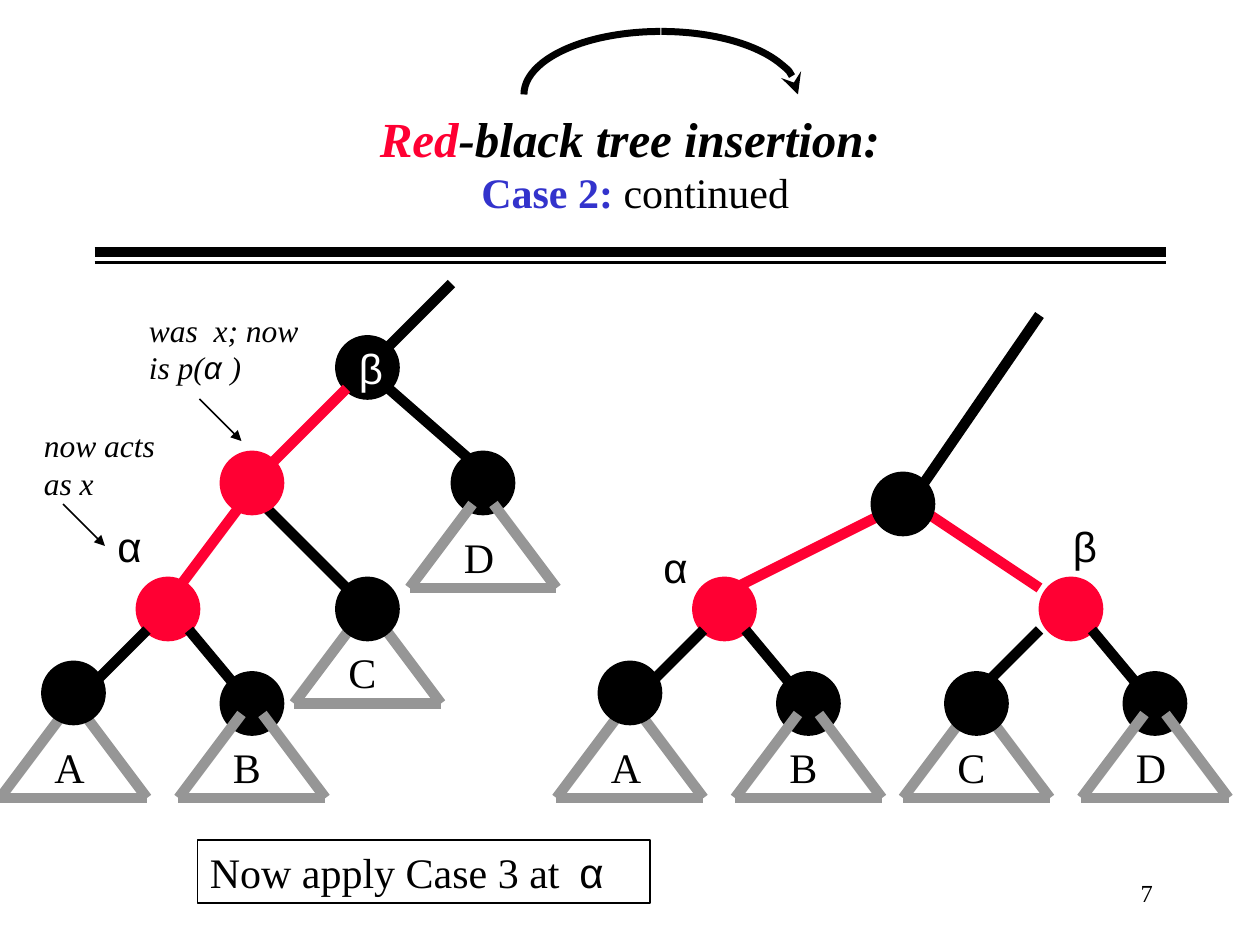
from lxml.etree import SubElement
from pptx import Presentation
from pptx.dml.color import RGBColor
from pptx.enum.shapes import MSO_CONNECTOR, MSO_SHAPE
from pptx.enum.text import MSO_ANCHOR, MSO_AUTO_SIZE, PP_ALIGN
from pptx.oxml.ns import qn
from pptx.util import Emu, Pt

PX = 7620  # 120 px to the inch
COLORS = {"black": "000000", "red": "FF0033", "blue": "3333CC",
          "gray": "969696", "white": "FFFFFF"}
SERIF, SANS = "Times New Roman", "Arial"


def px(*lengths):
    return [Emu(length * PX) for length in lengths]


def rgb(name):
    return RGBColor.from_string(COLORS[name])


class TreeSlide:
    base = {"name": SERIF, "size": Pt(24), "bold": False, "italic": False}

    def __init__(self, deck):
        self.slide = deck.slides.add_slide(deck.slide_layouts[6])

    def arrowhead(self, item, kind):
        SubElement(item.line._get_or_add_ln(), qn("a:tailEnd"), type=kind)

    def line(self, start, end, color="black", width=6, head=None):
        item = self.slide.shapes.add_connector(
            MSO_CONNECTOR.STRAIGHT, *px(*start, *end))
        item.line.color.rgb = rgb(color)
        item.line.width = Pt(width)
        SubElement(item._element.spPr, qn("a:effectLst"))
        if head:
            self.arrowhead(item, head)

    def shape(self, kind, bounds, fill=None, line="black", width=1):
        item = self.slide.shapes.add_shape(kind, *px(*bounds))
        item.shadow.inherit = False
        if fill:
            item.fill.solid()
            item.fill.fore_color.rgb = rgb(fill)
        else:
            item.fill.background()
        item.line.color.rgb = rgb(line)
        item.line.width = Pt(width)
        return item

    def arc(self, bounds, start, end, head=None):
        item = self.shape(MSO_SHAPE.ARC, bounds, width=4)
        # Angles are stored in 60000ths of a degree, adjustments in 100000ths
        item.adjustments[0] = start * 0.6
        item.adjustments[1] = end * 0.6
        if head:
            self.arrowhead(item, head)

    def fill_text(self, box, lines, align=PP_ALIGN.LEFT, anchor=MSO_ANCHOR.TOP):
        """Fill a box with lines, each a list of (text, color, format) spans."""
        frame = box.text_frame
        settings = {"word_wrap": True, "vertical_anchor": anchor,
                    "auto_size": MSO_AUTO_SIZE.NONE}
        for key, value in settings.items():
            setattr(frame, key, value)
        para = frame.paragraphs[0]
        para.alignment = align
        for index, spans in enumerate(lines):
            if index:
                para.add_line_break()
            for text, color, extra in spans:
                span = para.add_run()
                span.text = text
                for key, value in {**self.base, **extra}.items():
                    setattr(span.font, key, value)
                span.font.color.rgb = rgb(color)

    def text(self, bounds, lines, **layout):
        box = self.slide.shapes.add_textbox(*px(*bounds))
        self.fill_text(box, lines, **layout)

    def label(self, left, top, text, color="black", font=SANS, width=90):
        self.text((left, top, width, 60), [[(text, color, {"name": font})]])

    def node(self, center_x, center_y, color="black"):
        size = 60
        self.shape(MSO_SHAPE.OVAL,
                   (center_x - size // 2, center_y - size // 2, size, size),
                   fill=color, line=color)

    def subtree(self, center, top, name):
        base = top + 80
        for side in (-1, 1):
            self.line((center + 10 * side, top), (center + 70 * side, base), "gray")
        self.line((center - 70, base), (center + 70, base), "gray")
        self.label(center - 30, top + 20, name, font=SERIF, width=110)

    def tree(self, back_edges, back_subtrees, nodes, front_edges, front_subtrees):
        for method, items in ((self.line, back_edges),
                              (self.subtree, back_subtrees),
                              (self.node, nodes),
                              (self.line, front_edges),
                              (self.subtree, front_subtrees)):
            for item in items:
                method(*item)


def main():
    deck = Presentation()
    deck.slide_width, deck.slide_height = px(1200, 900)
    page = TreeSlide(deck)

    # Title, rules and rotation arrow
    page.line((90, 240), (1110, 240))
    page.line((90, 250), (1110, 250), width=2)
    heading = {"size": Pt(28), "bold": True, "italic": True}
    page.text((90, 80, 1020, 150), [
        [("Red", "red", heading), ("-black tree insertion:", "black", heading)],
        [(" ", "black", {}), ("Case 2:", "blue", {"bold": True}),
         (" continued", "black", {})],
    ], align=PP_ALIGN.CENTER, anchor=MSO_ANCHOR.MIDDLE)
    page.arc((500, 30, 260, 120), 270, 0, head="stealth")
    page.arc((499, 30, 260, 120), 180, 270)

    # Tree after the rotation
    page.tree(
        back_edges=[((870, 480), (990, 560), "red"),
                    ((840, 490), (700, 560), "red"),
                    ((990, 300), (880, 460))],
        back_subtrees=[(600, 680, "A"), (930, 680, "C")],
        nodes=[(860, 480), (690, 580, "red"), (1020, 580, "red"),
               (600, 660), (770, 670), (930, 670), (1100, 670)],
        front_edges=[((670, 600), (620, 650)), ((710, 600), (760, 660)),
                     ((990, 600), (930, 660)), ((1040, 600), (1090, 660))],
        front_subtrees=[(770, 680, "B"), (1100, 680, "D")])
    page.label(620, 510, "α", width=54)
    page.label(1010, 490, "β")

    # Tree before the rotation
    page.tree(
        back_edges=[((430, 270), (370, 330)), ((370, 370), (450, 440)),
                    ((250, 480), (330, 560))],
        back_subtrees=[(70, 680, "A"), (350, 590, "C")],
        nodes=[(350, 350), (240, 460, "red"), (460, 460), (160, 580, "red"),
               (350, 580), (70, 660), (240, 670)],
        front_edges=[((330, 370), (260, 440), "red"),
                     ((230, 480), (170, 560), "red"),
                     ((140, 600), (90, 650)), ((180, 600), (230, 660))],
        front_subtrees=[(240, 680, "B"), (460, 480, "D")])
    page.label(100, 490, "α")
    page.label(330, 320, "β", color="white")

    # Notes with their arrows
    note = {"size": Pt(18), "italic": True}
    page.text((30, 400, 150, 84), [[("now acts as x", "black", note)]])
    page.line((60, 480), (100, 520), width=1, head="triangle")
    page.text((130, 290, 180, 84), [[
        ("was  x; now is p(", "black", note),
        ("α ", "black", {**note, "name": SANS}), (")", "black", note)]])
    page.line((190, 380), (230, 420), width=1, head="triangle")

    # Next step and page number
    step = page.shape(MSO_SHAPE.RECTANGLE, (188, 800, 431, 60))
    page.fill_text(step, [[("Now apply Case 3 at", "black", {})]])
    page.label(540, 800, "α")
    page.text((860, 820, 250, 60), [[("7", "black", {"size": Pt(14)})]],
              align=PP_ALIGN.RIGHT, anchor=MSO_ANCHOR.MIDDLE)

    deck.save("out.pptx")


if __name__ == "__main__":
    main()
